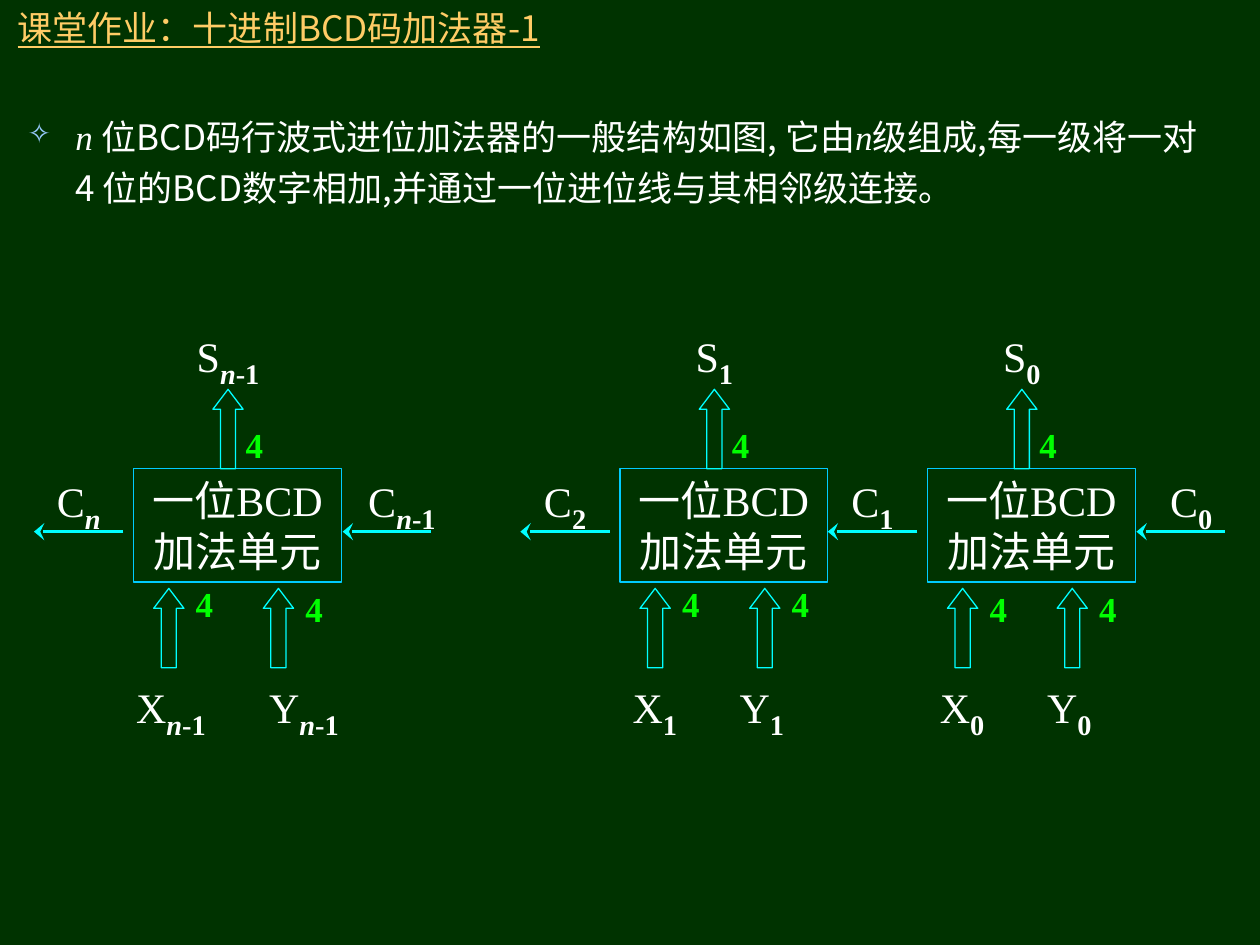
from dataclasses import dataclass

from lxml import etree
from pptx import Presentation
from pptx.dml.color import RGBColor
from pptx.enum.shapes import MSO_CONNECTOR, MSO_SHAPE
from pptx.enum.text import MSO_ANCHOR, MSO_AUTO_SIZE, PP_ALIGN
from pptx.oxml.ns import qn
from pptx.util import Inches, Pt

RECT, UP_ARROW = MSO_SHAPE.RECTANGLE, MSO_SHAPE.UP_ARROW
STRAIGHT = MSO_CONNECTOR.STRAIGHT
LEFT, CENTER = PP_ALIGN.LEFT, PP_ALIGN.CENTER
MIDDLE, TOP = MSO_ANCHOR.MIDDLE, MSO_ANCHOR.TOP
NO_AUTOFIT = MSO_AUTO_SIZE.NONE
WIDTH, HEIGHT = Inches(10), Inches(7.5)
COL, ROW = WIDTH // 100, HEIGHT // 75


@dataclass(frozen=True)
class Theme:
    """Colours, faces and type sizes of the slide."""
    back: str = "003300"
    title: str = "FFCC66"
    text: str = "FFFFFF"
    bullet: str = "99CCFF"
    width: str = "00FF00"
    box: str = "00CCFF"
    arrow: str = "00FFFF"
    serif: str = "Times New Roman"
    sans: str = "Noto Sans CJK JP"
    heading: str = "Noto Sans CJK SC"
    small: int = 20
    symbol: int = 24
    index: int = 28


T = Theme()
INDEX = {"name": T.serif, "size": Pt(T.index), "bold": True}
STYLES = {
    "title": {"name": T.heading, "size": Pt(T.small), "underline": True},
    "body": {"name": T.sans, "size": Pt(T.small)},
    "variable": {"name": T.serif, "size": Pt(T.small), "italic": True},
    "symbol": {"name": T.serif, "size": Pt(T.symbol)},
    "index": INDEX,
    "index_n": {**INDEX, "italic": True},
    "width": {"name": T.serif, "size": Pt(T.small), "bold": True},
}
COLOURS = {"title": T.title, "width": T.width}
BASELINES = {"index": "-25000", "index_n": "-25000"}


@dataclass(frozen=True)
class Box:
    """A region measured in grid columns and rows."""
    x: float
    y: float
    w: float
    h: float

    def inner(self, x, y, w, h):
        """Return a region offset from the corner of this one."""
        return Box(self.x + x, self.y + y, w, h)

    def emu(self):
        """Return left, top, width and height as lengths."""
        return (round(self.x * COL), round(self.y * ROW),
                round(self.w * COL), round(self.h * ROW))


def write(p, runs, align=LEFT):
    """Fill a paragraph with (text, style) runs."""
    p.alignment = align
    for text, style in runs:
        r = p.add_run()
        r.text = text
        for key, value in STYLES[style].items():
            setattr(r.font, key, value)
        r.font.color.rgb = RGBColor.from_string(COLOURS.get(style, T.text))
        rPr = r.font._element
        if style in BASELINES:
            rPr.set("baseline", BASELINES[style])
        face = T.heading if style == "title" else T.sans
        rPr.find(qn("a:latin")).addnext(
            rPr.makeelement(qn("a:ea"), {"typeface": face}))


def add_text(s, box, runs, align=CENTER):
    """Add a wrapping text box with one paragraph and return its frame."""
    tf = s.shapes.add_textbox(*box.emu()).text_frame
    tf.word_wrap = True
    write(tf.paragraphs[0], runs, align)
    return tf


def add_outline(s, kind, box, colour):
    """Add an unfilled preset shape."""
    sp = s.shapes.add_shape(kind, *box.emu())
    sp.shadow.inherit = False
    sp.fill.background()
    sp.line.color.rgb = RGBColor.from_string(colour)
    sp.line.width = Pt(0.75)
    return sp


def indexed(letter, index):
    """Return the runs of a letter with a subscript."""
    runs = [(letter, "symbol")]
    if index.startswith("n"):
        runs.append(("n", "index_n"))
        index = index[1:]
    return runs + ([(index, "index")] if index else [])


def add_title(s, box, text):
    """Place the title placeholder in its box."""
    sp = s.shapes.title
    sp.left, sp.top, sp.width, sp.height = box.emu()
    tf = sp.text_frame
    tf.auto_size, tf.vertical_anchor = NO_AUTOFIT, MIDDLE
    write(tf.paragraphs[0], [(text, "title")])


def add_body(s, box, paragraphs):
    """Add the description with a bullet on its first paragraph."""
    tf = s.shapes.add_textbox(*box.emu()).text_frame
    tf.word_wrap, tf.vertical_anchor = True, TOP
    for i, runs in enumerate(paragraphs):
        p = tf.add_paragraph() if i else tf.paragraphs[0]
        pPr = p._p.get_or_add_pPr()
        pPr.set("marL", str(Inches(0.38)))
        pPr.set("indent", str(0 if i else -Inches(0.38)))
        if i:
            p.space_before = Pt(5)
        else:
            colour = etree.SubElement(pPr, qn("a:buClr"))
            etree.SubElement(colour, qn("a:srgbClr"), val=T.bullet)
            etree.SubElement(pPr, qn("a:buSzPct"), val="80000")
            etree.SubElement(pPr, qn("a:buChar"), char="✧")
        write(p, runs)


def add_carry(s, box, index, shift=0, label_width=7.1):
    """Add a left-pointing carry line under its label."""
    left, top, width, height = box.emu()
    line = s.shapes.add_connector(
        STRAIGHT, left + width, top + height, left, top + height)
    line.line.color.rgb = RGBColor.from_string(T.arrow)
    line.line.width = Pt(1.5)
    etree.SubElement(line.line._get_or_add_ln(), qn("a:tailEnd"),
                     type="stealth", w="lg", len="med")
    etree.SubElement(line._element.spPr, qn("a:effectLst"))
    add_text(s, box.inner(shift, 0, label_width, 6.3), indexed("C", index))


def add_bus(s, box, label_x, label_y):
    """Add a hollow up arrow with its bit width."""
    sp = add_outline(s, UP_ARROW, box, T.arrow)
    sp.adjustments[0], sp.adjustments[1] = 0.5, 0.66
    add_text(s, box.inner(label_x, label_y, 3.9, 4.4), [("4", "width")], LEFT)


def add_operands(s, box, index, inset, gap):
    """Add the X and Y labels, separated by a tab stop."""
    tf = add_text(s, box, [], LEFT)
    tf.margin_left = round(inset * COL)
    p = tf.paragraphs[0]
    tabs = etree.SubElement(p._p.get_or_add_pPr(), qn("a:tabLst"))
    etree.SubElement(tabs, qn("a:tab"), pos=str(round(gap * COL)), algn="l")
    write(p, indexed("X", index) + [("\t", "symbol")] + indexed("Y", index))


def add_unit(s, box, index, carry, label_rows, operands):
    """Add one adder stage with its sum, operands and carry out."""
    tf = add_outline(s, RECT, box, T.box).text_frame
    tf.word_wrap, tf.vertical_anchor = True, TOP
    write(tf.paragraphs[0], [("一位BCD", "symbol")], CENTER)
    write(tf.add_paragraph(), [("加法单元", "symbol")], CENTER)
    add_bus(s, box.inner(6.3, -6.3, 2.4, 6.3), 1.6, 2.2)
    for x, label_y in zip((1.6, 10.3), label_rows):
        add_bus(s, box.inner(x, 9.5, 2.4, 6.3), 2.35, label_y)
    add_text(s, box.inner(0.8, -12, 13.4, 6.3), indexed("S", index))
    x, inset, gap = operands
    add_operands(s, box.inner(x, 15.8, 20.5, 6.3), index, inset, gap)
    add_carry(s, box.inner(-7.9, -0.5, 7.1, 5.5), carry)


def main():
    """Build and save the slide."""
    prs = Presentation()
    prs.slide_width, prs.slide_height = WIDTH, HEIGHT
    s = prs.slides.add_slide(prs.slide_layouts[5])
    s.background.fill.solid()
    s.background.fill.fore_color.rgb = RGBColor.from_string(T.back)
    add_title(s, Box(0.4, 0.8, 92, 2.8), "课堂作业：十进制BCD码加法器-1")
    add_body(s, Box(1.2, 8.7, 96.9, 17.7), [
        [("n ", "variable"),
         ("位BCD码行波式进位加法器的一般结构如图, 它由", "body"),
         ("n", "variable"), ("级组成,每一级将一对", "body")],
        [("4 位的BCD数字相加,并通过一位进位线与其相邻级连接。", "body")],
    ])
    narrow, wide = (-2.8, 3.8, 8.5), (-1.6, 1.8, 10.55)
    for x, index, carry, label_rows, operands in (
            (10.6, "n-1", "n", (-1, -0.6), wide),
            (49.2, "1", "2", (-1, -1), narrow),
            (73.6, "0", "1", (-0.6, -0.6), narrow)):
        add_unit(s, Box(x, 37.2, 16.5, 9), index, carry, label_rows, operands)
    add_carry(s, Box(27.2, 36.7, 7, 5.5), "n-1", -0.8, 11)
    add_carry(s, Box(90.2, 36.7, 7, 5.5), "0", 0.8)
    prs.save("out.pptx")


if __name__ == "__main__":
    main()
